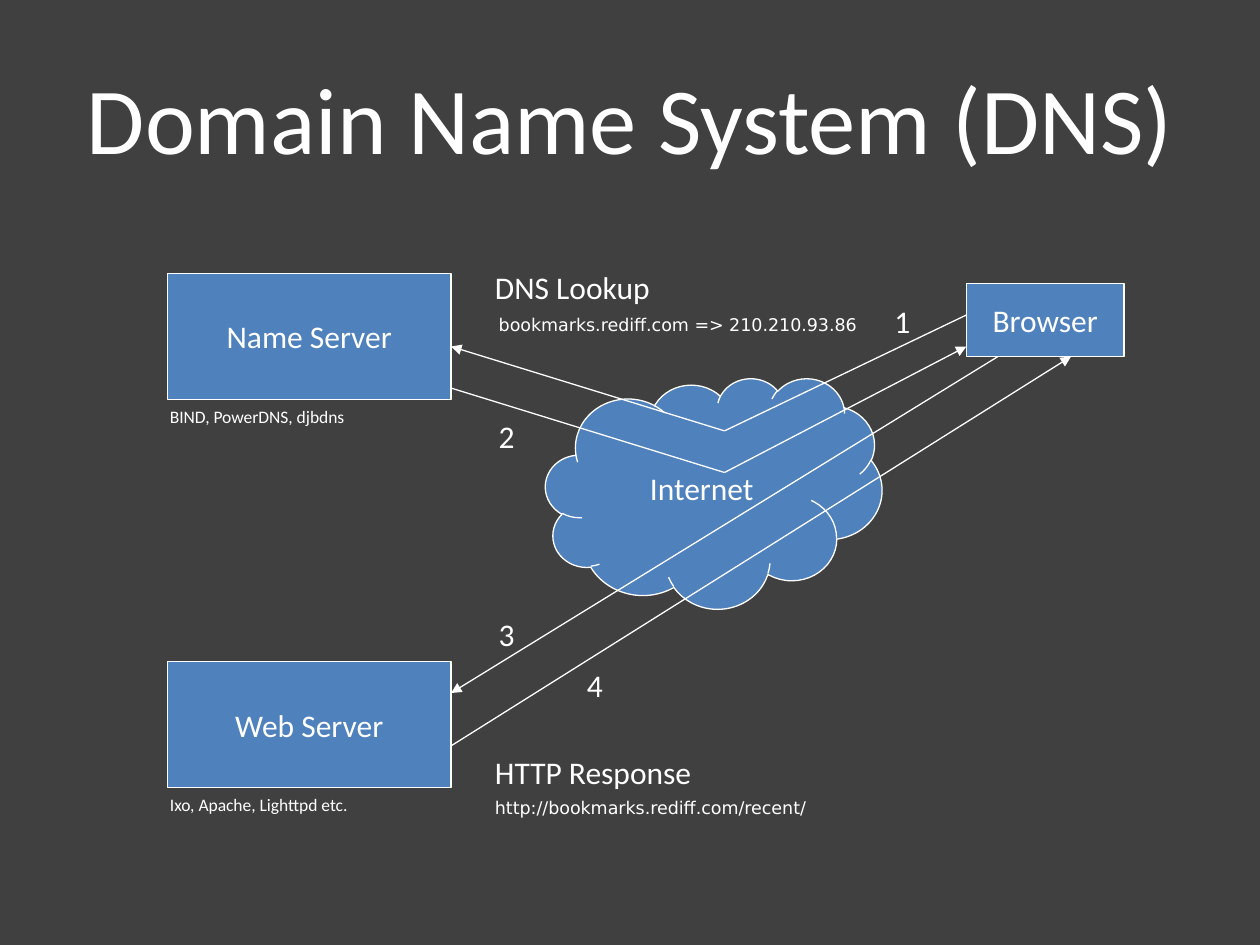
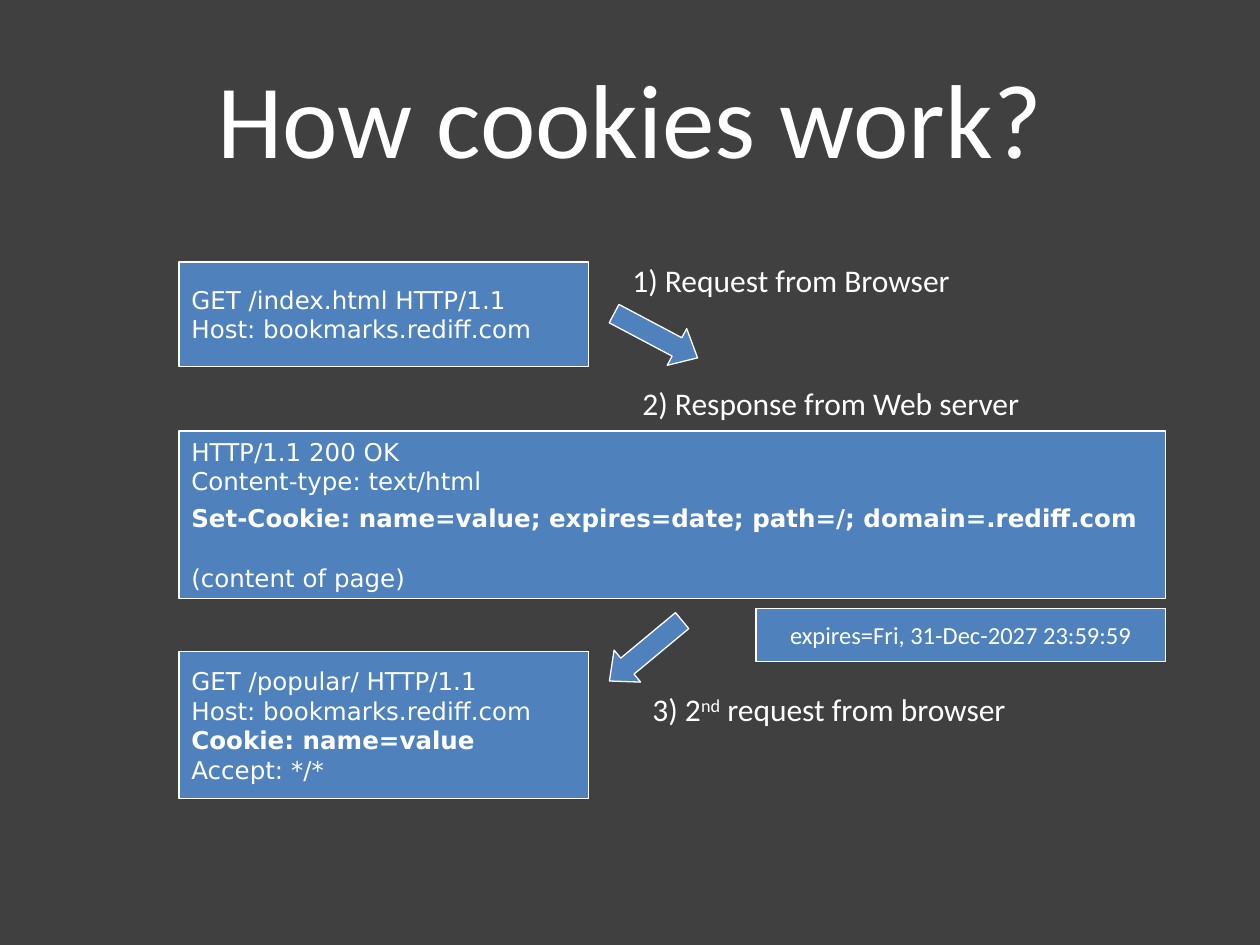
from itertools import pairwise

from lxml import etree
from pptx import Presentation
from pptx import util as u
from pptx.dml.color import RGBColor
from pptx.enum import shapes, text
from pptx.oxml import ns


class Theme:
    background = RGBColor.from_string("404040")
    box = RGBColor.from_string("4F81BD")
    ink = RGBColor.from_string("FFFFFF")
    line = 0.75
    body_font, code_font = "Calibri", "DejaVu Sans"
    label, code, note = 18, 14, 10


SHAPE = shapes.MSO_SHAPE
LEFT, CENTER = text.PP_ALIGN.LEFT, text.PP_ALIGN.CENTER
TOP, MIDDLE = text.MSO_ANCHOR.TOP, text.MSO_ANCHOR.MIDDLE
CODE = dict(font=Theme.code_font, size=Theme.code, align=LEFT)
NOTE = dict(size=Theme.note)
ADDRESS = dict(font=Theme.code_font, size=Theme.note)

# Content: places are (left, top, width, height) in inches
TITLE_PLACE = (0.5, 0.3, 9, 1.25)
DNS_TITLE, DNS_TITLE_SIZE = "Domain Name System (DNS)", 54
DNS_NODES = [
    ("Browser", SHAPE.RECTANGLE, (7.67, 2.25, 1.25, 0.58)),
    ("Name Server", SHAPE.RECTANGLE, (1.33, 2.17, 2.25, 1)),
    ("Internet", SHAPE.CLOUD, (4.33, 3, 2.67, 1.83)),
    ("Web Server", SHAPE.RECTANGLE, (1.33, 5.25, 2.25, 1)),
]
# Each route ends in an arrowhead
DNS_ROUTES = [
    [(7.67, 2.5), (5.75, 3.42), (3.58, 2.75)],
    [(3.58, 3.08), (5.75, 3.75), (7.67, 2.75)],
    [(7.92, 2.83), (3.58, 5.5)],
    [(3.58, 5.92), (8.5, 2.83)],
]
DNS_LABELS = [
    ("Ixo, Apache, Lighttpd etc.", (1.25, 6.25, 2.42, 0.27), NOTE),
    ("BIND, PowerDNS, djbdns", (1.25, 3.17, 1.78, 0.27), NOTE),
    ("HTTP Response", (3.83, 5.93, 2.17, 0.4), {}),
    ("DNS Lookup", (3.83, 2.08, 1.62, 0.4), {}),
    ("http://bookmarks.rediff.com/recent/", (3.83, 6.28, 2.77, 0.27), ADDRESS),
    ("bookmarks.rediff.com => 210.210.93.86", (3.86, 2.44, 3.09, 0.27), ADDRESS),
]
STEP_CORNERS = [(7, 2.35), (3.86, 3.26), (3.86, 4.83), (4.56, 5.24)]

COOKIE_TITLE, COOKIE_TITLE_SIZE = "How cookies work?", 60
COOKIE_LABELS = [
    ("1) Request from Browser", (4.92, 2.02, 3.25, 0.4)),
    ("2) Response from Web server", (5, 3, 3.58, 0.4)),
    ([["3) 2", ("nd", {"raised": True}), " request from browser"]],
     (5.08, 5.43, 3.5, 0.4)),
]
BOLD = {"bold": True}
COOKIE_MESSAGES = [
    (["GET /index.html HTTP/1.1", "Host: bookmarks.rediff.com"],
     (1.42, 2.08, 3.25, 0.83), CODE),
    (["HTTP/1.1 200 OK", "Content-type: text/html",
      [("Set-Cookie: name=value; expires=date; path=/; domain=.rediff.com", BOLD)],
      "(content of page)"],
     (1.42, 3.42, 7.83, 1.33), dict(CODE, gaps={2: 4, 3: 17.5})),
    (["GET /popular/ HTTP/1.1", "Host: bookmarks.rediff.com",
      [("Cookie: name=value", BOLD)], "Accept: */*"],
     (1.42, 5.17, 3.25, 1.17), CODE),
    ("expires=Fri, 31-Dec-2027 23:59:59", (6, 4.83, 3.25, 0.42),
     dict(size=Theme.code)),
]
COOKIE_ARROWS = [((4.83, 2.5, 0.75, 0.33), 27.9), ((4.75, 5, 0.75, 0.33), 140.3)]


def inches(values):
    return [u.Inches(value) for value in values]


def write(frame, content, *, size=Theme.label, font=Theme.body_font,
          align=LEFT, anchor=TOP, gaps=None):
    """Content is a string or a list of lines; a line is a string or a list of
    spans; a span is a string or (string, format). Gaps: line index to points."""
    frame.word_wrap = True
    frame.vertical_anchor = anchor
    for index, line in enumerate([content] if isinstance(content, str) else content):
        paragraph = frame.add_paragraph() if index else frame.paragraphs[0]
        paragraph.alignment = align
        if gaps and index in gaps:
            paragraph.space_before = u.Pt(gaps[index])
        for span in [line] if isinstance(line, str) else line:
            words, look = (span, {}) if isinstance(span, str) else span
            run = paragraph.add_run()
            run.text = words
            run.font.size, run.font.name = u.Pt(size), font
            run.font.color.rgb = Theme.ink
            run.font.bold = look.get("bold", False)
            if look.get("raised"):
                run._r.get_or_add_rPr().set("baseline", "30000")


def add_label(slide, content, place, **look):
    write(slide.shapes.add_textbox(*inches(place)).text_frame, content, **look)


def add_box(slide, kind, place, content=None, **look):
    box = slide.shapes.add_shape(kind, *inches(place))
    box.shadow.inherit = False
    box.fill.solid()
    box.fill.fore_color.rgb = Theme.box
    box.line.color.rgb, box.line.width = Theme.ink, u.Pt(Theme.line)
    if content:
        write(box.text_frame, content, anchor=MIDDLE, **{"align": CENTER, **look})
    return box


def add_route(slide, points):
    for start, end in pairwise(points):
        leg = slide.shapes.add_connector(
            shapes.MSO_CONNECTOR.STRAIGHT, *inches(start + end))
        leg.line.color.rgb, leg.line.width = Theme.ink, u.Pt(Theme.line)
        etree.SubElement(leg._element.spPr, ns.qn("a:effectLst"))
    # Arrowhead on the last leg
    etree.SubElement(leg.line._get_or_add_ln(), ns.qn("a:tailEnd"), type="triangle")


def add_slide(deck, title, size):
    slide = deck.slides.add_slide(deck.slide_layouts[6])
    slide.background.fill.solid()
    slide.background.fill.fore_color.rgb = Theme.background
    add_label(slide, title, TITLE_PLACE, size=size, align=CENTER, anchor=MIDDLE)
    return slide


def build_dns(deck):
    slide = add_slide(deck, DNS_TITLE, DNS_TITLE_SIZE)
    for name, kind, place in DNS_NODES:
        add_box(slide, kind, place, name)
    for points in DNS_ROUTES:
        add_route(slide, points)
    for words, place, look in DNS_LABELS:
        add_label(slide, words, place, **look)
    for step, corner in enumerate(STEP_CORNERS, 1):
        add_label(slide, str(step), corner + (0.33, 0.4))


def build_cookies(deck):
    slide = add_slide(deck, COOKIE_TITLE, COOKIE_TITLE_SIZE)
    for words, place in COOKIE_LABELS:
        add_label(slide, words, place)
    for lines, place, look in COOKIE_MESSAGES:
        add_box(slide, SHAPE.RECTANGLE, place, lines, **look)
    for place, angle in COOKIE_ARROWS:
        arrow = add_box(slide, SHAPE.RIGHT_ARROW, place)
        arrow.rotation = angle
        arrow.adjustments[1] = 0.56


def main():
    deck = Presentation()
    deck.slide_width, deck.slide_height = inches((10, 7.5))
    build_dns(deck)
    build_cookies(deck)
    deck.save("out.pptx")


if __name__ == "__main__":
    main()
